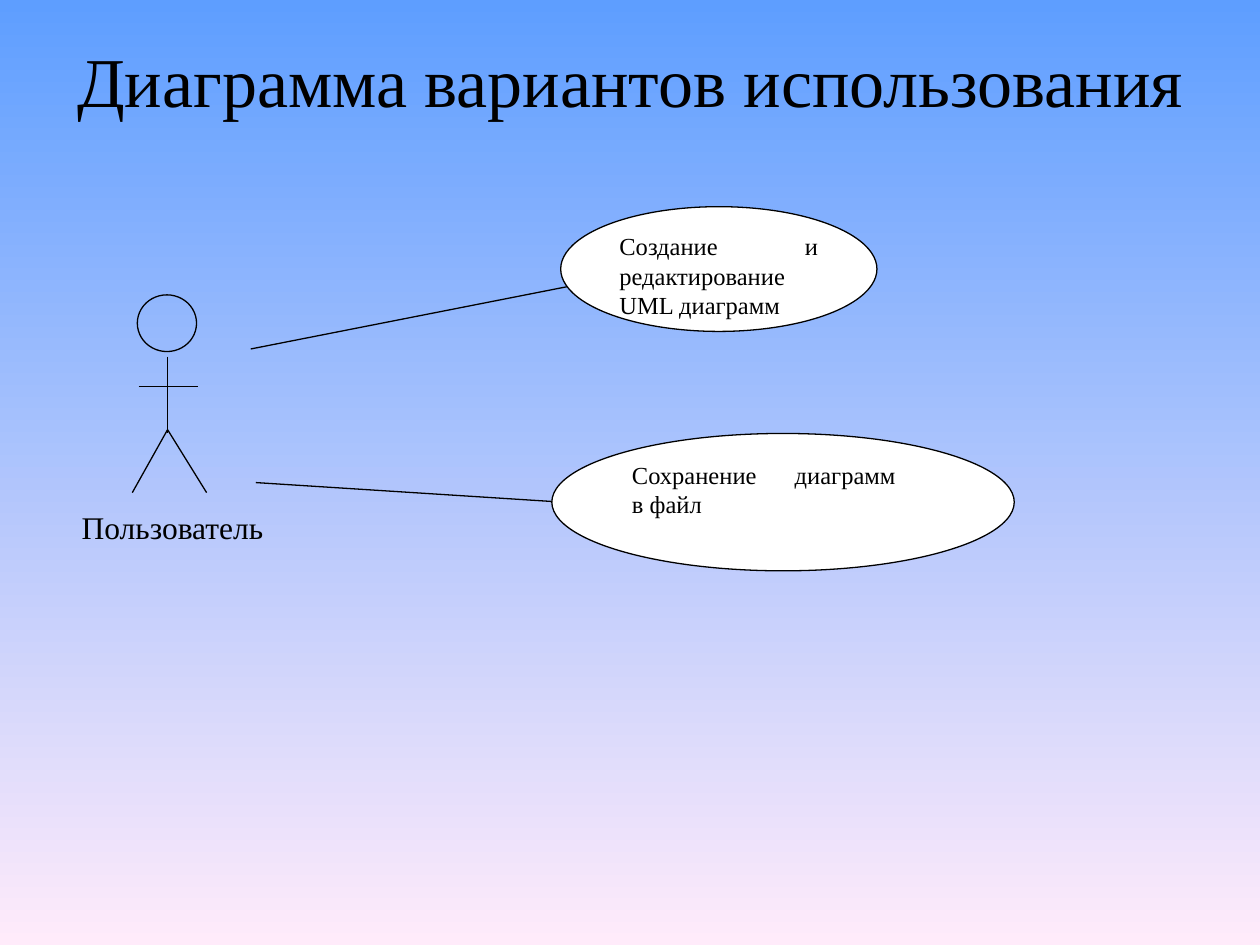
from copy import deepcopy

from pptx import Presentation
from pptx.dml.color import RGBColor
from pptx.enum.shapes import MSO_CONNECTOR, MSO_SHAPE
from pptx.enum.text import MSO_ANCHOR, MSO_AUTO_SIZE, PP_ALIGN
from pptx.oxml.ns import qn
from pptx.oxml.xmlchemy import OxmlElement
from pptx.util import Inches, Pt

STRAIGHT = MSO_CONNECTOR.STRAIGHT
CIRCLE, ELLIPSE = MSO_SHAPE.FLOWCHART_CONNECTOR, MSO_SHAPE.OVAL
LEFT, CENTER, JUSTIFY = PP_ALIGN.LEFT, PP_ALIGN.CENTER, PP_ALIGN.JUSTIFY

COLORS = {"sky": "5E9EFF", "blush": "FFEBFA", "ink": "000000", "paper": "FFFFFF"}
FONT = "Times New Roman"
FRAME = {
    "word_wrap": True, "vertical_anchor": MSO_ANCHOR.TOP, "auto_size": MSO_AUTO_SIZE.NONE,
    "margin_left": Inches(0.1), "margin_right": Inches(0.1),
    "margin_top": Inches(0.05), "margin_bottom": Inches(0.05),
}


def color(name):
    return RGBColor.from_string(COLORS[name])


def set_attrs(obj, values):
    for name, value in values.items():
        setattr(obj, name, value)


def set_text(sp, text, size, align, gap=0):
    tf = sp.text_frame
    set_attrs(tf, FRAME)
    p = tf.paragraphs[0]
    p.text = text
    set_attrs(p, {"alignment": align, "space_before": Pt(gap), "space_after": Pt(gap)})
    for r in p.runs:
        set_attrs(r.font, {"name": FONT, "size": Pt(size)})
        r.font.color.rgb = color("ink")
    # Line breaks take the same text format as the runs
    for br in p._p.findall(qn("a:br")):
        br.append(deepcopy(p.runs[0]._r.rPr))


def set_outline(sp):
    sp.line.color.rgb = color("ink")
    sp.line.width = Pt(0.75)


def add_line(slide, x1, y1, x2, y2):
    line = slide.shapes.add_connector(STRAIGHT, *map(Inches, (x1, y1, x2, y2)))
    set_outline(line)
    line._element.spPr.append(OxmlElement("a:effectLst"))


def add_oval(slide, kind, box, fill=None):
    sp = slide.shapes.add_shape(kind, *map(Inches, box))
    sp.shadow.inherit = False
    set_outline(sp)
    if fill:
        sp.fill.solid()
        sp.fill.fore_color.rgb = color(fill)
    else:
        sp.fill.background()
    return sp


def add_background(slide):
    fill = slide.background.fill
    fill.gradient()
    fill.gradient_angle = 270
    for stop, name in zip(fill.gradient_stops, ("sky", "blush")):
        stop.color.rgb = color(name)


def add_title(slide, box, text):
    sp = slide.shapes.title
    set_attrs(sp, dict(zip(("left", "top", "width", "height"), map(Inches, box))))
    set_text(sp, text, 40, CENTER)


def add_actor(slide, box, name):
    x, y, w, h = box
    mid, hip, foot = x + 0.28, y + 1.07, y + h
    add_oval(slide, CIRCLE, (x + 0.04, y, 0.47, 0.45))  # head
    add_line(slide, mid, y + 0.49, mid, hip + 0.03)  # body
    for foot_x in (x + w, x):  # legs
        add_line(slide, mid, hip, foot_x, foot)
    add_line(slide, x + 0.05, y + 0.73, x + 0.52, y + 0.73)  # arms
    label = slide.shapes.add_textbox(*map(Inches, (x - 0.5, foot + 0.07, 1.8, 0.4)))
    set_text(label, name, 18, LEFT)


def add_use_case(slide, box, text, link):
    add_line(slide, *link)
    set_text(add_oval(slide, ELLIPSE, box, "paper"), text, 14, JUSTIFY, gap=5)


def main():
    prs = Presentation()
    prs.slide_width, prs.slide_height = Inches(10), Inches(7.5)
    slide = prs.slides.add_slide(prs.slide_layouts[5])

    add_background(slide)
    add_title(slide, (0.5, 0.25, 9, 1.25), "Диаграмма вариантов использования")
    add_actor(slide, (1.05, 2.34, 0.59, 1.57), "Пользователь")

    # Use cases, each with its link from the actor
    add_use_case(slide, (4.45, 1.64, 2.51, 0.99),
                 "Создание и редактирование UML диаграмм", (1.99, 2.77, 4.53, 2.27))
    add_use_case(slide, (4.38, 3.44, 3.67, 1.09),
                 "Сохранение диаграмм \nв файл", (2.03, 3.83, 4.38, 3.98))

    prs.save("out.pptx")


if __name__ == "__main__":
    main()
